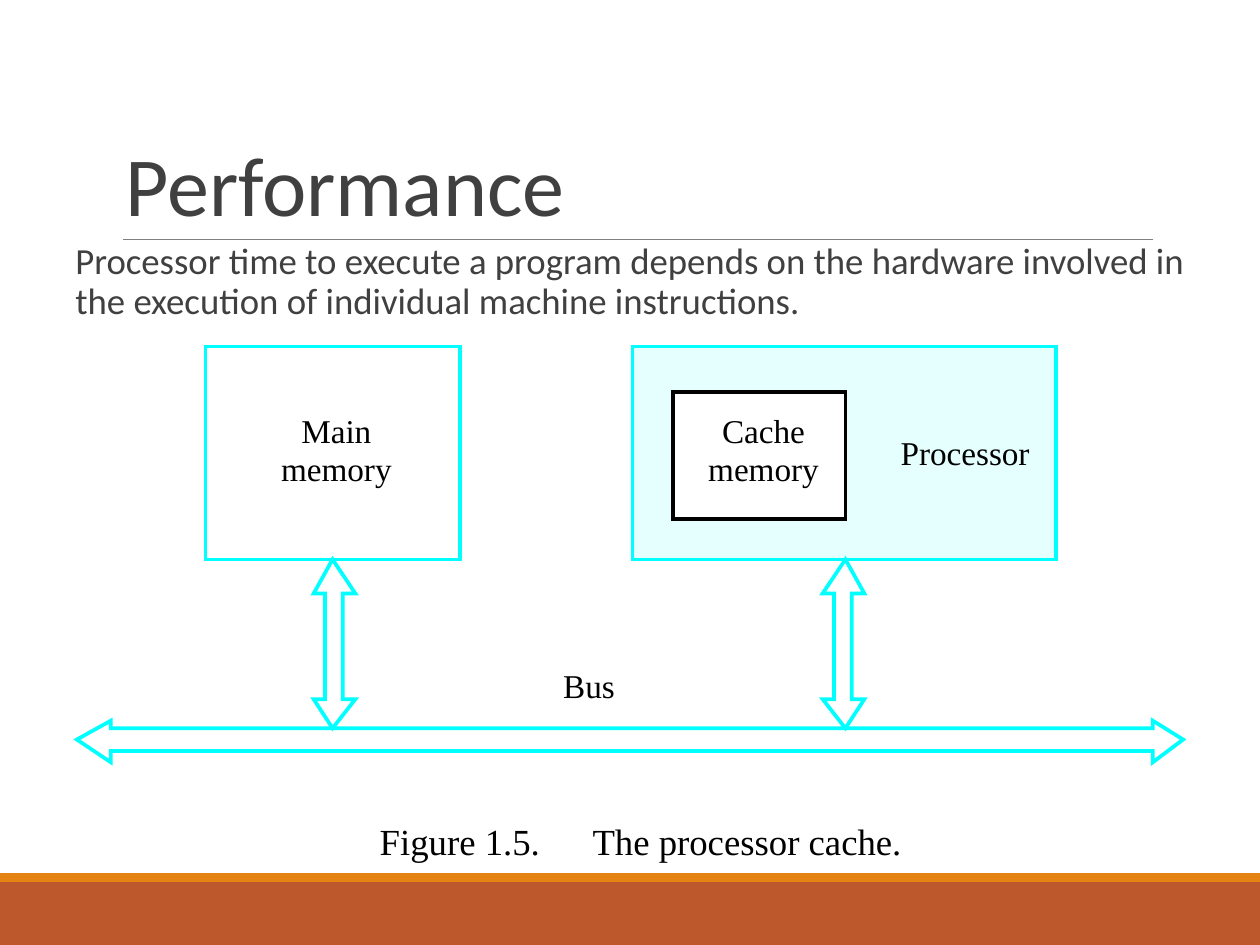
from lxml import etree
from pptx import Presentation
from pptx.dml.color import RGBColor
from pptx.enum.shapes import MSO_CONNECTOR, MSO_SHAPE
from pptx.enum.text import MSO_ANCHOR, MSO_AUTO_SIZE, PP_ALIGN
from pptx.oxml.ns import qn
from pptx.util import Inches, Pt

RECT = MSO_SHAPE.RECTANGLE
STRAIGHT = MSO_CONNECTOR.STRAIGHT
TOP, BOTTOM = MSO_ANCHOR.TOP, MSO_ANCHOR.BOTTOM
LEFT, CENTER = PP_ALIGN.LEFT, PP_ALIGN.CENTER
FIT_SHAPE, NO_FIT = MSO_AUTO_SIZE.SHAPE_TO_FIT_TEXT, MSO_AUTO_SIZE.NONE
SANS, SERIF = "Calibri", "Times New Roman"
CYAN, BLACK, GREY = "00FFFF", "000000", "404040"
OUTLINE = 2.13

TITLE = "Performance"
BODY = ("Processor time to execute a program depends on the hardware involved "
        "in the execution of individual machine instructions.")

# left, top, width, height, fill
BANDS = [(0, 7, 10, 0.5, "BD582C"), (0, 6.93, 10, 0.07, "E48312")]

# left, top, width, height, fill, line
BLOCKS = [
    (1.63, 2.75, 2.02, 1.69, None, CYAN),
    (5.02, 2.75, 3.36, 1.69, "E5FFFF", CYAN),
    (5.34, 3.11, 1.37, 1.01, "FFFFFF", BLACK),
]

# lines, left, top, width, height, size, line spacing
LABELS = [
    (["Main", "memory"], 2.17, 3.28, 1, 0.6, 19, 0.95),
    (["Cache", "memory"], 5.56, 3.28, 1, 0.6, 19, 0.95),
    (["Processor"], 7.11, 3.43, 1.1, 0.32, 19, 1.0),
    (["Bus"], 4.42, 5.28, 0.51, 0.32, 19, 1.0),
    (["Figure 1.5."], 2.95, 6.5, 1.4, 0.35, 21, 1.0),
    (["The processor cache."], 4.63, 6.5, 2.6, 0.35, 21, 1.0),
]

# left edge, tip
LINKS = [(2.49, 2.64), (6.53, 6.71)]
LINK_TOP, LINK_BOTTOM = 4.44, 5.78
BUS = [(9.15, 5.78), (9.15, 5.72), (9.39, 5.87), (9.15, 6.05), (9.15, 5.96),
       (0.88, 5.96), (0.88, 6.05), (0.61, 5.87), (0.88, 5.72), (0.88, 5.78)]


def rgb(value):
    return RGBColor.from_string(value)


def style(sp, fill=None, line=None):
    sp.shadow.inherit = False
    if fill:
        sp.fill.solid()
        sp.fill.fore_color.rgb = rgb(fill)
    else:
        sp.fill.background()
    if line:
        sp.line.color.rgb = rgb(line)
        sp.line.width = Pt(OUTLINE)
        ln = sp.line._get_or_add_ln()
        etree.SubElement(ln, qn("a:miter"), lim="800000")
    else:
        sp.line.fill.background()


def add_rect(s, left, top, width, height, fill=None, line=None):
    sp = s.shapes.add_shape(RECT, *map(Inches, (left, top, width, height)))
    style(sp, fill, line)


def add_outline(s, points):
    points = [(Inches(x), Inches(y)) for x, y in points]
    builder = s.shapes.build_freeform(*points[0])
    builder.add_line_segments(points[1:], close=True)
    style(builder.convert_to_shape(), line=CYAN)


def link_points(left, tip):
    """Corners of an upright double arrow between a block and the bus."""
    right, stem_left, stem_right = left + 0.33, left + 0.09, left + 0.23
    neck_top, neck_bottom = LINK_TOP + 0.27, LINK_BOTTOM - 0.23
    return [(right, neck_top), (stem_right, neck_top),
            (stem_right, neck_bottom), (right, neck_bottom),
            (tip, LINK_BOTTOM), (left, neck_bottom),
            (stem_left, neck_bottom), (stem_left, neck_top),
            (left, neck_top), (tip, LINK_TOP)]


def add_text(s, lines, left, top, width, height, size, spacing=1.0, font=SERIF,
             color=BLACK, align=CENTER, anchor=TOP, insets=(0, 0), wrap=False):
    tf = s.shapes.add_textbox(*map(Inches, (left, top, width, height))).text_frame
    tf.word_wrap = wrap
    tf.auto_size = NO_FIT if wrap else FIT_SHAPE
    tf.vertical_anchor = anchor
    tf.margin_left = tf.margin_right = Inches(insets[0])
    tf.margin_top = tf.margin_bottom = Inches(insets[1])
    for i, line in enumerate(lines):
        p = tf.add_paragraph() if i else tf.paragraphs[0]
        p.alignment = align
        p.line_spacing = spacing
        r = p.add_run()
        r.text = line
        r.font.size = Pt(size)
        r.font.name = font
        r.font.color.rgb = rgb(color)


def main():
    prs = Presentation()
    prs.slide_width, prs.slide_height = Inches(10), Inches(7.5)
    s = prs.slides.add_slide(prs.slide_layouts[6])

    for band in BANDS:
        add_rect(s, *band)
    rule = s.shapes.add_connector(STRAIGHT, *map(Inches, (0.98, 1.9, 9.15, 1.9)))
    rule.line.color.rgb = rgb("7F7F7F")
    rule.line.width = Pt(0.5)
    etree.SubElement(rule._element.spPr, qn("a:effectLst"))

    add_text(s, [TITLE], 0.9, 0.31, 8.25, 1.59, 48, 0.85, SANS, GREY, LEFT,
             BOTTOM, insets=(0.1, 0.05), wrap=True)
    add_text(s, [BODY], 0.5, 1.88, 9, 0.95, 21, 0.9, SANS, GREY, LEFT,
             insets=(0.1, 0.05), wrap=True)

    for block in BLOCKS:
        add_rect(s, *block)
    for link in LINKS:
        add_outline(s, link_points(*link))
    add_outline(s, BUS)
    for label in LABELS:
        add_text(s, *label)

    prs.save("out.pptx")


if __name__ == "__main__":
    main()
